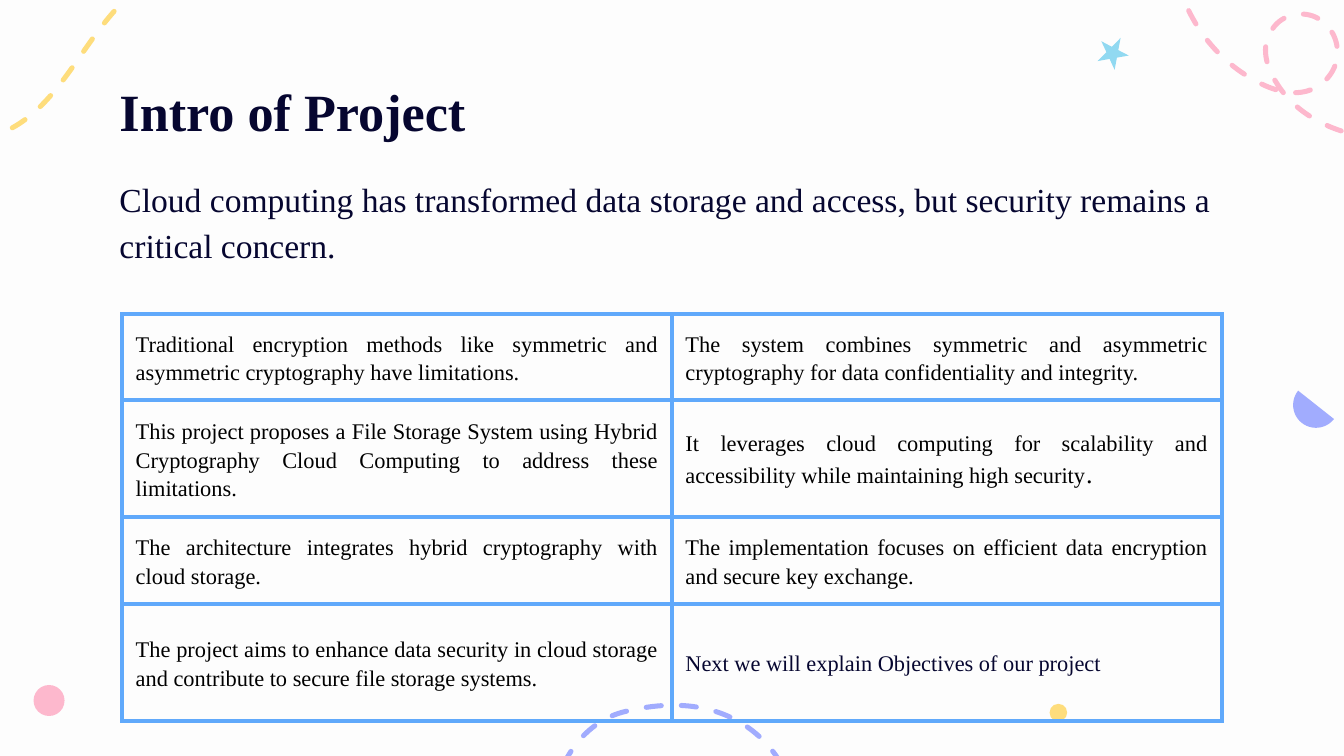
from lxml.etree import SubElement
from pptx import Presentation
from pptx.dml.color import RGBColor
from pptx.enum.dml import MSO_LINE
from pptx.enum.shapes import MSO_SHAPE
from pptx.enum.text import MSO_ANCHOR, MSO_AUTO_SIZE, PP_ALIGN
from pptx.oxml.ns import qn
from pptx.util import Pt

FONT = "Times New Roman"
NAVY, BLACK, PAPER, BORDER = "060630", "000000", "FDFDFD", "60A9FB"
VIOLET, YELLOW, PINK, SKY = "A1ACFE", "FEDD7C", "FDB8CD", "91D9F1"
INSET = 7.2

# Dashed curves: colour, start point, then Bezier segments (control, control, end)
CURVES = [
    (VIOLET, (423.4, 427), [
        ((427, 419.8), (405.4, 362.9), (333.4, 381.6)),
        ((309.6, 388.1), (294.5, 414.7), (295.9, 439.2))]),
    (YELLOW, (128.9, -19.4), [
        ((116.6, -19.4), (104.4, -19.4), (92.9, -15.8)),
        ((81.4, -12.2), (71.3, -5), (63.4, 3.6)),
        ((41, 27.4), (28.8, 61.9), (-2.9, 72.7)),
        ((-12.2, 76.3), (-23, 75.6), (-32.4, 71.3)),
        ((-41, 67), (-48.2, 57.6), (-48.2, 47.5))]),
    (PINK, (645.8, -83.5), [
        ((631.4, -64.1), (625, -38.2), (630, -14.4)),
        ((635, 10.1), (650.9, 31.7), (672.5, 43.2)),
        ((681.1, 48.2), (692.6, 51.8), (702, 48.2)),
        ((709.9, 45.4), (716.4, 37.4), (716.4, 28.8)),
        ((717.1, 20.2), (711.4, 11.5), (703.4, 8.6)),
        ((695.5, 5.8), (685.4, 8.6), (681.1, 16.6)),
        ((675.4, 24.5), (678.2, 36), (684, 44.6)),
        ((694.1, 61.2), (714.2, 71.3), (733.7, 73.4)),
        ((753.1, 76.3), (773.3, 72), (792.7, 67))]),
]

# Small ornaments: kind, left, top, size, colour, rotation, adjustments
ORNAMENTS = [
    (MSO_SHAPE.OVAL, 562.3, 377.1, 9.4, YELLOW, 0, ()),
    (MSO_SHAPE.OVAL, 18, 367, 16.6, PINK, 0, ()),
    (MSO_SHAPE.STAR_5_POINT, 588.2, 19.4, 16.6, SKY, 27.6, (0.19, 1.05, 1.11)),
    (MSO_SHAPE.CHORD, 692.8, 204.7, 24.5, VIOLET, 308.8, (53.43, 162)),
]

# Each cell is a list of (text, size, colour) spans
ROW_HEIGHTS = [46.2, 62.7, 46.6, 62.7]
CELLS = [
    [[("Traditional encryption methods like symmetric and asymmetric "
       "cryptography have limitations.", 12, BLACK)],
     [("The system combines symmetric and asymmetric cryptography for data "
       "confidentiality and integrity.", 12, BLACK)]],
    [[("This project proposes a File Storage System using Hybrid Cryptography "
       "Cloud Computing to address these limitations.", 12, BLACK)],
     [("It leverages cloud computing for scalability and accessibility while "
       "maintaining high security", 12, BLACK), (".", 14, BLACK)]],
    [[("The architecture integrates hybrid cryptography with cloud storage.", 12, BLACK)],
     [("The implementation focuses on efficient data encryption and secure "
       "key exchange.", 12, BLACK)]],
    [[("The project aims to enhance data security in cloud storage and "
       "contribute to secure file storage systems.", 12, BLACK)],
     [("Next we will explain Objectives of our project", 12, NAVY)]],
]


def colour(value):
    return RGBColor.from_string(value)


def style_span(span, size, value, bold=False):
    span.font.name = FONT
    span.font.size = Pt(size)
    span.font.bold = bold
    span.font.color.rgb = colour(value)


def set_insets(target):
    target.margin_left = target.margin_right = Pt(INSET)
    target.margin_top = target.margin_bottom = Pt(INSET)


def bend_segments(curve, segments):
    """Turn each straight step of the outline into a cubic Bezier."""
    steps = list(curve._element.iter(qn("a:lnTo")))
    for step, segment in zip(steps, segments):
        step.tag = qn("a:cubicBezTo")
        for child in list(step):
            step.remove(child)
        for x, y in segment:
            SubElement(step, qn("a:pt"), x=str(Pt(x) - curve.left), y=str(Pt(y) - curve.top))


def add_dashed_curve(page, value, start, segments):
    builder = page.shapes.build_freeform(Pt(start[0]), Pt(start[1]))
    ends = [(Pt(x), Pt(y)) for _, _, (x, y) in segments]
    builder.add_line_segments(ends, close=False)
    curve = builder.convert_to_shape()
    bend_segments(curve, segments)
    curve.shadow.inherit = False
    curve.fill.background()
    curve.line.color.rgb = colour(value)
    curve.line.width = Pt(2.69)
    curve.line.dash_style = MSO_LINE.DASH
    curve.line._get_or_add_ln().set("cap", "rnd")


def add_ornament(page, kind, left, top, size, value, rotation, adjustments):
    shape = page.shapes.add_shape(kind, Pt(left), Pt(top), Pt(size), Pt(size))
    shape.shadow.inherit = False
    shape.fill.solid()
    shape.fill.fore_color.rgb = colour(value)
    shape.line.fill.background()
    shape.rotation = rotation
    for index, amount in enumerate(adjustments):
        shape.adjustments[index] = amount


def fill_placeholder(box, text, top, height, size, bold=False, spacing=1.0):
    box.left, box.top, box.width, box.height = Pt(56.8), Pt(top), Pt(607), Pt(height)
    frame = box.text_frame
    frame.text = text
    frame.word_wrap = True
    frame.auto_size = MSO_AUTO_SIZE.NONE
    frame.vertical_anchor = MSO_ANCHOR.TOP
    set_insets(frame)
    para = frame.paragraphs[0]
    para.alignment = PP_ALIGN.LEFT
    para.line_spacing = spacing
    para.space_before = Pt(0)
    style_span(para.runs[0], size, NAVY, bold)


def add_borders(cell):
    properties = cell._tc.get_or_add_tcPr()
    for side in ("lnL", "lnR", "lnT", "lnB"):
        line = SubElement(properties, qn(f"a:{side}"), w=str(Pt(2.25)))
        SubElement(SubElement(line, qn("a:solidFill")), qn("a:srgbClr"), val=BORDER)


def fill_cell(cell, spans):
    add_borders(cell)
    cell.fill.background()
    cell.vertical_anchor = MSO_ANCHOR.MIDDLE
    set_insets(cell)
    para = cell.text_frame.paragraphs[0]
    para.alignment = PP_ALIGN.JUSTIFY
    para.line_spacing = 1.15
    for text, size, value in spans:
        span = para.add_run()
        span.text = text
        style_span(span, size, value)


def add_points_table(page):
    table = page.shapes.add_table(
        len(CELLS), 2, Pt(65.5), Pt(168.2), Pt(589), Pt(sum(ROW_HEIGHTS))).table
    table.first_row = table.horz_banding = False
    for row, height, contents in zip(table.rows, ROW_HEIGHTS, CELLS):
        row.height = Pt(height)
        for cell, spans in zip(row.cells, contents):
            fill_cell(cell, spans)


def main():
    deck = Presentation()
    deck.slide_width, deck.slide_height = Pt(720), Pt(405)
    page = deck.slides.add_slide(deck.slide_layouts[0])
    page.background.fill.solid()
    page.background.fill.fore_color.rgb = colour(PAPER)

    # Decoration behind the content
    for curve in CURVES:
        add_dashed_curve(page, *curve)
    for ornament in ORNAMENTS:
        add_ornament(page, *ornament)

    # Title, lead sentence and table
    fill_placeholder(page.shapes.title, "Intro of Project", 35.3, 45.4, 28, bold=True)
    fill_placeholder(
        page.placeholders[1],
        "Cloud computing has transformed data storage and access, "
        "but security remains a critical concern.",
        85.4, 109.4, 18, spacing=1.15)
    add_points_table(page)
    deck.save("out.pptx")


if __name__ == "__main__":
    main()
